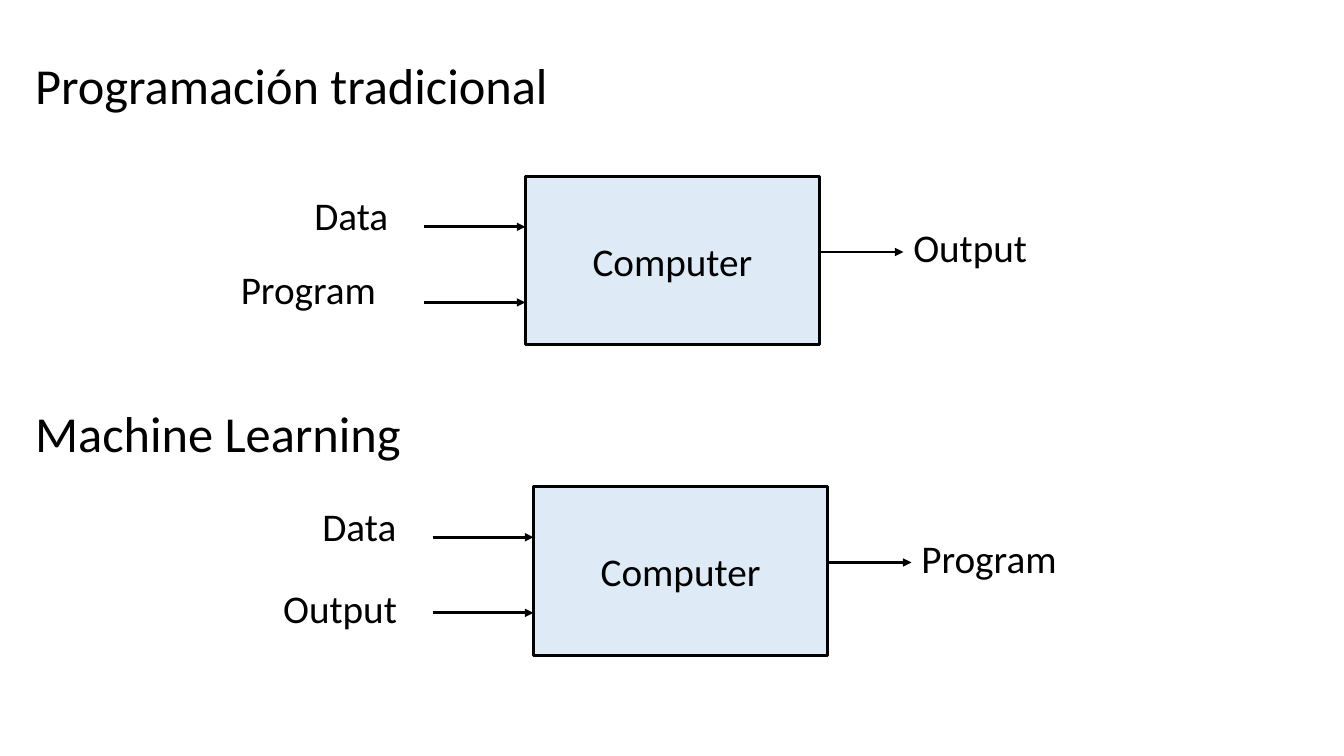
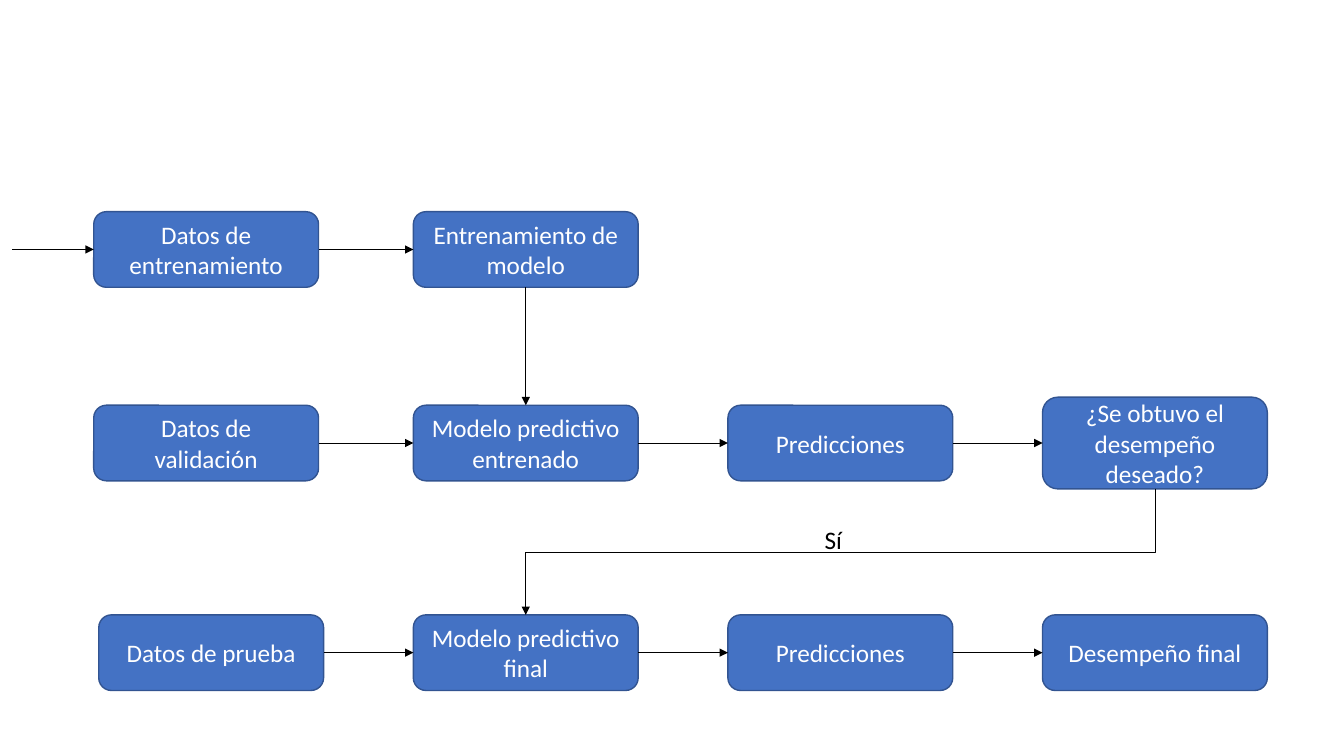
from itertools import pairwise

from pptx import Presentation
from pptx.dml.color import RGBColor
from pptx.enum import shapes, text
from pptx.oxml import ns, xmlchemy
from pptx.util import Inches, Pt

# Shared style
FONT = "Calibri"
BLACK = RGBColor(0x00, 0x00, 0x00)
WHITE = RGBColor(0xFF, 0xFF, 0xFF)
PALE_BLUE = RGBColor(0xDE, 0xEB, 0xF7)
BLUE = RGBColor(0x44, 0x72, 0xC4)
DARK_BLUE = RGBColor(0x32, 0x54, 0x91)

# Diagram of inputs, computer and result
COMPUTER_WIDTH, COMPUTER_HEIGHT = 2.92, 1.67
LABEL_HEIGHT = 0.57
LABEL_WIDTHS = {"Data": 0.94, "Program": 1.56, "Output": 1.34}

# Flow chart grid
STEP_WIDTH, STEP_HEIGHT = 2.23, 0.75
COLUMNS = [0.93, 4.1, 7.22, 10.34]
TRAINING_ROW, VALIDATION_ROW, TEST_ROW = 2.1, 4.02, 6.1
TOP, LEFT, BOTTOM, RIGHT = range(4)  # connection sites of a box


def add_text(frame, content, size, color, align, wrap=True):
    frame.word_wrap = wrap
    paragraph = frame.paragraphs[0]
    paragraph.alignment = align
    run = paragraph.add_run()
    run.text = content
    run.font.name = FONT
    run.font.size = Pt(size)
    run.font.color.rgb = color


def add_label(slide, content, left, top, width, height, size, wrap=True):
    label = slide.shapes.add_textbox(
        Inches(left), Inches(top), Inches(width), Inches(height))
    add_text(label.text_frame, content, size, BLACK, text.PP_ALIGN.LEFT, wrap)
    label.text_frame.auto_size = text.MSO_AUTO_SIZE.SHAPE_TO_FIT_TEXT


def add_box(slide, kind, content, left, top, width, height,
            fill, line, line_width, size, color, wrap=True):
    box = slide.shapes.add_shape(
        kind, Inches(left), Inches(top), Inches(width), Inches(height))
    box.shadow.inherit = False
    box.fill.solid()
    box.fill.fore_color.rgb = fill
    box.line.color.rgb = line
    box.line.width = Pt(line_width)
    box.text_frame.vertical_anchor = text.MSO_ANCHOR.MIDDLE
    add_text(box.text_frame, content, size, color, text.PP_ALIGN.CENTER, wrap)
    return box


def add_arrow(slide, start, end, width, kind=shapes.MSO_CONNECTOR.STRAIGHT):
    arrow = slide.shapes.add_connector(
        kind, *(Inches(value) for value in (*start, *end)))
    arrow.line.color.rgb = BLACK
    arrow.line.width = Pt(width)
    head = xmlchemy.OxmlElement("a:tailEnd")
    head.set("type", "triangle")
    properties = arrow._element.spPr
    properties.find(ns.qn("a:ln")).append(head)
    properties.append(xmlchemy.OxmlElement("a:effectLst"))
    return arrow


# Slide 1: computer with two inputs and one result
def add_computer(slide, left, top, second_input, second_offset, result):
    add_box(slide, shapes.MSO_SHAPE.RECTANGLE, "Computer", left, top,
            COMPUTER_WIDTH, COMPUTER_HEIGHT, PALE_BLUE, BLACK, 2, 28, BLACK,
            wrap=False)
    right = left + COMPUTER_WIDTH
    for start, end, drop in ((left - 1, left, 0.5), (left - 1, left, 1.25),
                             (right, right + 0.83, 0.75)):
        add_arrow(slide, (start, top + drop), (end, top + drop), 2)

    second_left, second_top = second_offset
    for name, across, down in (("Data", -2.19, 0.1),
                               (second_input, second_left, second_top),
                               (result, COMPUTER_WIDTH + 0.83, 0.42)):
        add_label(slide, name, left + across, top + down,
                  LABEL_WIDTHS[name], LABEL_HEIGHT, 28, wrap=False)


def build_comparison(slide):
    for heading, top in (("Programación tradicional", 0.49),
                         ("Machine Learning", 3.94)):
        add_label(slide, heading, 0.25, top, 7.38, 0.71, 36)
    add_computer(slide, 5.21, 1.75, "Program", (-2.92, 0.83), "Output")
    add_computer(slide, 5.29, 4.83, "Output", (-2.58, 0.92), "Program")


# Slide 2: flow of training, validation and test
def add_step(slide, content, left, top, height=STEP_HEIGHT):
    return add_box(slide, shapes.MSO_SHAPE.ROUNDED_RECTANGLE, content,
                   left, top, STEP_WIDTH, height, BLUE, DARK_BLUE, 1, 18, WHITE)


def link(slide, source, source_site, target, target_site):
    arrow = add_arrow(slide, (0, 0), (0, 0), 0.5)
    arrow.begin_connect(source, source_site)
    arrow.end_connect(target, target_site)


def add_row(slide, steps):
    boxes = [add_step(slide, *step) for step in steps]
    for source, target in pairwise(boxes):
        link(slide, source, RIGHT, target, LEFT)
    return boxes


def link_down_elbow(slide, source, target):
    """Elbow from the bottom of source to the top of target, on its left."""
    arrow = add_arrow(slide, (0, 0), (1, 1), 0.5, shapes.MSO_CONNECTOR.ELBOW)
    arrow.begin_connect(source, BOTTOM)
    arrow.end_connect(target, TOP)
    start_x = source.left + source.width // 2
    start_y = source.top + source.height
    end_x = target.left + target.width // 2
    across, down = start_x - end_x, target.top - start_y
    # The frame is laid out sideways, then turned a quarter round its centre
    arrow.left = (start_x + end_x - down) // 2
    arrow.top = (start_y + target.top - across) // 2
    arrow.width, arrow.height = down, across
    frame = arrow._element.spPr.find(ns.qn("a:xfrm"))
    for flip in ("flipH", "flipV"):
        frame.attrib.pop(flip, None)
    frame.set("rot", str(90 * 60000))


def build_flow(slide):
    first, second, third, fourth = COLUMNS
    training = add_row(slide, [
        ("Datos de entrenamiento", first, TRAINING_ROW),
        ("Entrenamiento de modelo", second, TRAINING_ROW),
    ])
    validation = add_row(slide, [
        ("Datos de validación", first, VALIDATION_ROW),
        ("Modelo predictivo entrenado", second, VALIDATION_ROW),
        ("Predicciones", third, VALIDATION_ROW),
        ("¿Se obtuvo el desempeño deseado?", fourth, VALIDATION_ROW - 0.08, 0.91),
    ])
    test = add_row(slide, [
        ("Datos de prueba", first + 0.05, TEST_ROW),
        ("Modelo predictivo final", second, TEST_ROW),
        ("Predicciones", third, TEST_ROW),
        ("Desempeño final", fourth, TEST_ROW),
    ])

    # Links between rows and the arrow that enters the flow
    link(slide, training[1], BOTTOM, validation[1], TOP)
    link_down_elbow(slide, validation[3], test[1])
    add_label(slide, "Sí", 8.08, 5.15, 0.5, 0.4, 18)
    entry = TRAINING_ROW + STEP_HEIGHT / 2
    add_arrow(slide, (0.12, entry), (first, entry), 0.5)


def main():
    presentation = Presentation()
    presentation.slide_width = Inches(13.33)
    presentation.slide_height = Inches(7.5)
    blank = presentation.slide_layouts[6]
    for build in (build_comparison, build_flow):
        build(presentation.slides.add_slide(blank))
    presentation.save("out.pptx")


if __name__ == "__main__":
    main()
